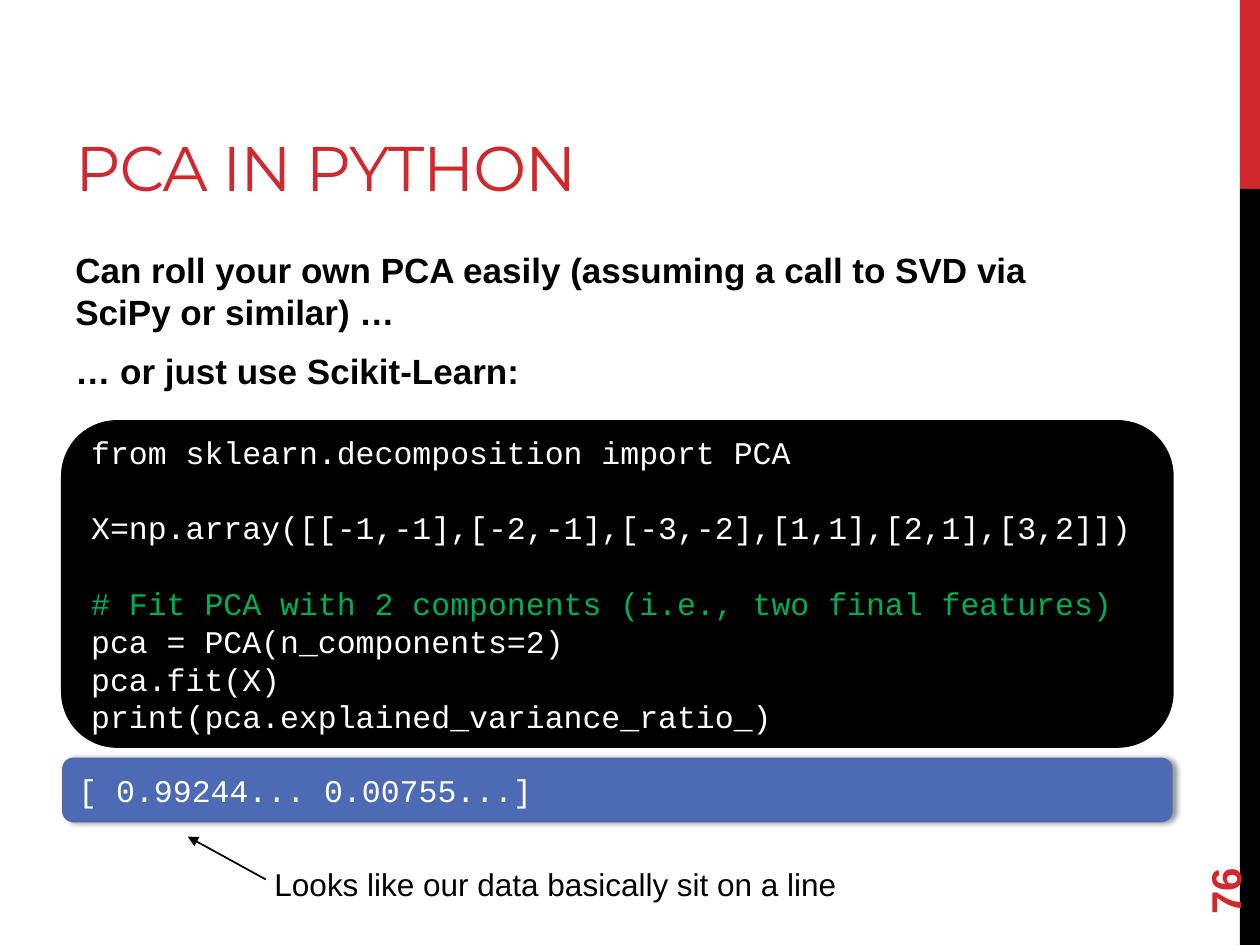
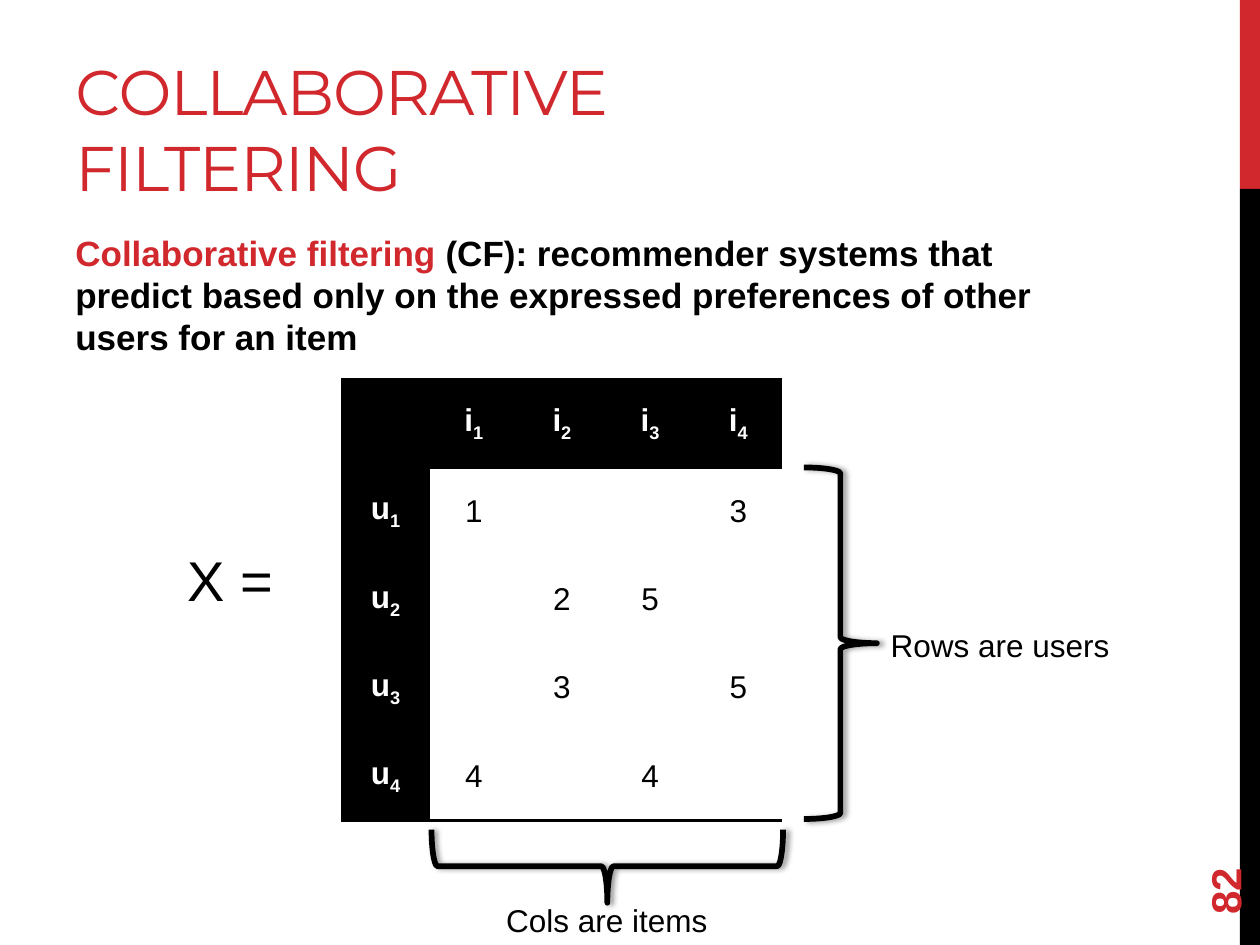
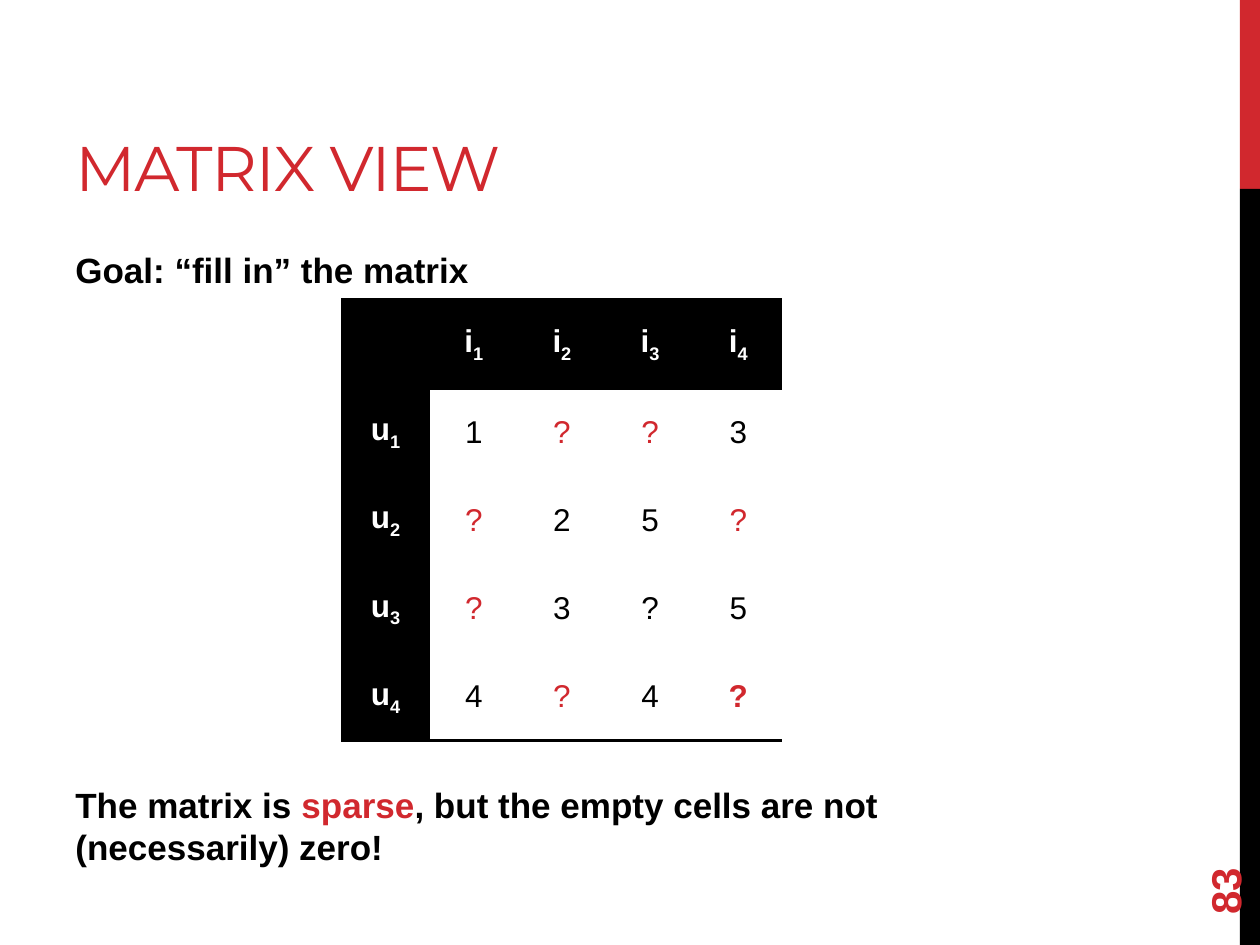
from dataclasses import dataclass

from lxml import etree
from pptx import Presentation
from pptx.dml import color as dml
from pptx.enum import shapes as sh
from pptx.enum import text as tx
from pptx.oxml import ns
from pptx.util import Inches, Pt

RED, BLACK, WHITE, GREEN = "D1282E", "000000", "FFFFFF", "00B050"
BLUE, EDGE = "4D6BB5", "4E6AAE"
SANS, MONO, HEAD = "Arial", "Courier New", "Montserrat"
PLAIN = "{2D5ABB26-0587-4C30-8999-92F81FD0307C}"
LEFT, MID = tx.PP_ALIGN.LEFT, tx.PP_ALIGN.CENTER
KIND = sh.MSO_SHAPE
CELL = 0.7


@dataclass(frozen=True)
class Box:
    x: float
    y: float
    w: float
    h: float

    def emu(self) -> tuple:
        return tuple(Inches(v) for v in (self.x, self.y, self.w, self.h))


@dataclass(frozen=True)
class Style:
    size: float
    face: str = SANS
    bold: bool = False
    align: int = LEFT


@dataclass(frozen=True)
class Run:
    text: str
    color: str = BLACK
    sub: bool = False


@dataclass(frozen=True)
class Para:
    runs: tuple
    before: float = 0
    after: float = 0


TITLE = Style(36, HEAD)
BODY = Style(20, bold=True)
NOTE = Style(18)
CODE = Style(18, MONO)
PAGE = Style(24, bold=True)


def rgb(code: str) -> dml.RGBColor:
    return dml.RGBColor.from_string(code)


def add_xml(parent, tag: str, **attrs):
    node = etree.SubElement(parent, ns.qn(tag))
    for key, val in attrs.items():
        node.set(key, str(val))
    return node


def line(text: str, color: str = BLACK, before: float = 0) -> Para:
    return Para((Run(text, color),), before)


def write(frame, paras: list, style: Style) -> None:
    for num, item in enumerate(paras):
        para = frame.paragraphs[0] if num == 0 else frame.add_paragraph()
        para.alignment = style.align
        para.space_before = Pt(item.before)
        para.space_after = Pt(item.after)
        font = para.font
        font.size, font.name, font.bold = Pt(style.size), style.face, style.bold
        for part in item.runs:
            run = para.add_run()
            run.text = part.text
            run.font.color.rgb = rgb(part.color)
            if part.sub:
                run.font._element.set("baseline", "-25000")


def label(slide, box: Box, paras: list, style: Style,
          anchor=tx.MSO_ANCHOR.TOP):
    item = slide.shapes.add_textbox(*box.emu())
    item.text_frame.word_wrap = True
    item.text_frame.vertical_anchor = anchor
    write(item.text_frame, paras, style)
    return item


def shape(slide, kind, box: Box, fill: str = "", edge: str = "",
          width: float = 1, shade: bool = False):
    item = slide.shapes.add_shape(kind, *box.emu())
    item.shadow.inherit = False
    if fill:
        item.fill.solid()
        item.fill.fore_color.rgb = rgb(fill)
    else:
        item.fill.background()
    if edge:
        item.line.color.rgb = rgb(edge)
        item.line.width = Pt(width)
    else:
        item.line.fill.background()
    if shade:
        glow = item._element.spPr.find(ns.qn("a:effectLst"))
        drop = add_xml(glow, "a:outerShdw", blurRad=Pt(3.1), dist=Pt(1.8),
                       dir=0, algn="ctr", rotWithShape=0)
        tint = add_xml(drop, "a:srgbClr", val=BLACK)
        add_xml(tint, "a:alpha", val=40000)
    return item


def panel(slide, box: Box, paras: list, fill: str, edge: str,
          width: float, shade: bool = False) -> None:
    item = shape(slide, KIND.ROUNDED_RECTANGLE, box, fill, edge, width, shade)
    item.text_frame.word_wrap = True
    item.text_frame.vertical_anchor = tx.MSO_ANCHOR.MIDDLE
    write(item.text_frame, paras, CODE)


def brace(slide, box: Box, turn: float = 0) -> None:
    item = shape(slide, KIND.RIGHT_BRACE, box, "", BLACK, 3.25, True)
    item.rotation = turn


def arrow(slide, start: tuple, end: tuple) -> None:
    ends = [Inches(v) for v in start + end]
    item = slide.shapes.add_connector(sh.MSO_CONNECTOR.STRAIGHT, *ends)
    item.line.color.rgb = rgb(BLACK)
    item.line.width = Pt(1)
    add_xml(item.line._get_or_add_ln(), "a:tailEnd", type="triangle")
    add_xml(item._element.spPr, "a:effectLst")


def rule(cell, side: str) -> None:
    props = cell._tc.get_or_add_tcPr()
    edge = add_xml(props, side, w=Pt(2))
    fill = add_xml(edge, "a:solidFill")
    add_xml(fill, "a:srgbClr", val=BLACK)


def matrix(slide, top: float, rows: list, black: tuple = (),
           strong: tuple = ()) -> None:
    count = len(rows) + 1
    side = CELL * count
    frame = slide.shapes.add_table(count, count,
                                   *Box(2.71, top, side, side).emu())
    table = frame.table
    table.first_row = table.horz_banding = False
    table._tbl.tblPr.find(ns.qn("a:tableStyleId")).text = PLAIN
    for row in range(count):
        table.rows[row].height = Inches(CELL)
        table.columns[row].width = Inches(CELL)
        for col in range(count):
            cell = table.cell(row, col)
            head = row == 0 or col == 0
            if row == 0:
                rule(cell, "a:lnT")
            if row in (0, count - 1):
                rule(cell, "a:lnB")
            cell.fill.solid()
            cell.fill.fore_color.rgb = rgb(BLACK if head else WHITE)
            cell.vertical_anchor = tx.MSO_ANCHOR.MIDDLE
            if head:
                name = "i" if row == 0 else "u"
                runs = (Run(name, WHITE), Run(str(row + col), WHITE, True))
            else:
                mark = rows[row - 1][col - 1]
                blank = mark == "?" and (row, col) not in black
                runs = (Run(mark, RED if blank else BLACK),)
            if row + col == 0 or not runs[0].text.strip():
                continue
            bold = head or (row, col) in strong
            write(cell.text_frame, [Para(runs)], Style(18, SANS, bold, MID))


def base(deck, title: str, page: int):
    slide = deck.slides.add_slide(deck.slide_layouts[6])
    shape(slide, KIND.RECTANGLE, Box(9.84, 0, 0.16, 1.5), RED)
    shape(slide, KIND.RECTANGLE, Box(9.84, 1.5, 0.16, 6), BLACK)
    head = label(slide, Box(0.5, 0.17, 6.33, 1.5), [line(title, RED)],
                 TITLE, tx.MSO_ANCHOR.BOTTOM)
    for run in head.text_frame.paragraphs[0].runs:
        run.font._element.set("spc", "-60")
    foot = label(slide, Box(9, 6.44, 1.44, 0.4), [line(str(page), RED)],
                 PAGE, tx.MSO_ANCHOR.MIDDLE)
    foot.rotation = 270
    return slide


def body(slide, top: float, *paras: Para) -> None:
    label(slide, Box(0.5, top, 8.33, 4.78), list(paras), BODY)


def python(deck) -> None:
    slide = base(deck, "PCA IN PYTHON", 76)
    body(slide, 1.92,
         Para((Run("Can roll your own PCA easily (assuming a call to SVD "
                   "via SciPy or similar) …"),), 0, 6),
         Para((Run("… or just use Scikit-Learn:"),), 4, 6))
    gap = 21.6
    code = [
        line("from sklearn.decomposition import PCA", WHITE),
        line("X=np.array([[-1,-1],[-2,-1],[-3,-2],[1,1],[2,1],[3,2]])",
             WHITE, gap),
        line("# Fit PCA with 2 components (i.e., two final features)",
             GREEN, gap),
        line("pca = PCA(n_components=2)", WHITE),
        line("pca.fit(X)", WHITE),
        line("print(pca.explained_variance_ratio_)", WHITE),
    ]
    panel(slide, Box(0.5, 3.35, 8.8, 2.57), code, BLACK, BLACK, 2.25)
    panel(slide, Box(0.5, 6.02, 8.8, 0.5),
          [line("[ 0.99244... 0.00755...]", WHITE)], BLUE, EDGE, 1, True)
    arrow(slide, (2.11, 6.98), (1.49, 6.64))
    label(slide, Box(2.08, 6.82, 5.22, 0.4),
          [line("Looks like our data basically sit on a line")], NOTE)


def filtering(deck) -> None:
    slide = base(deck, "COLLABORATIVE FILTERING", 82)
    body(slide, 1.79, Para((
        Run("Collaborative filtering", RED),
        Run(" (CF): recommender systems that predict based only on the "
            "expressed preferences of other users for an item")), 0, 6))
    matrix(slide, 3.01, ["1  3", " 25 ", " 3 5", "4 4 "])
    label(slide, Box(1.32, 4.28, 1.14, 0.64), [line("X = ")],
          Style(32, align=MID))
    label(slide, Box(6.97, 4.92, 1.95, 0.4), [line("Rows are users")], NOTE)
    brace(slide, Box(6.38, 3.71, 0.58, 2.79))
    label(slide, Box(3.84, 7.1, 1.95, 0.4), [line("Cols are items")],
          Style(18, align=MID))
    brace(slide, Box(4.53, 5.48, 0.58, 2.79), 90)


def view(deck) -> None:
    slide = base(deck, "MATRIX VIEW", 83)
    body(slide, 1.92,
         Para((Run("Goal: “fill in” the matrix"),), 0, 6),
         Para((Run("The matrix is "), Run("sparse", RED),
               Run(", but the empty cells are not (necessarily) zero!")),
              276, 6))
    matrix(slide, 2.38, ["1??3", "?25?", "?3?5", "4?4?"],
           black=((3, 3),), strong=((4, 4),))


def main() -> None:
    deck = Presentation()
    deck.slide_width, deck.slide_height = Inches(10), Inches(7.5)
    for build in (python, filtering, view):
        build(deck)
    deck.save("out.pptx")


if __name__ == "__main__":
    main()
